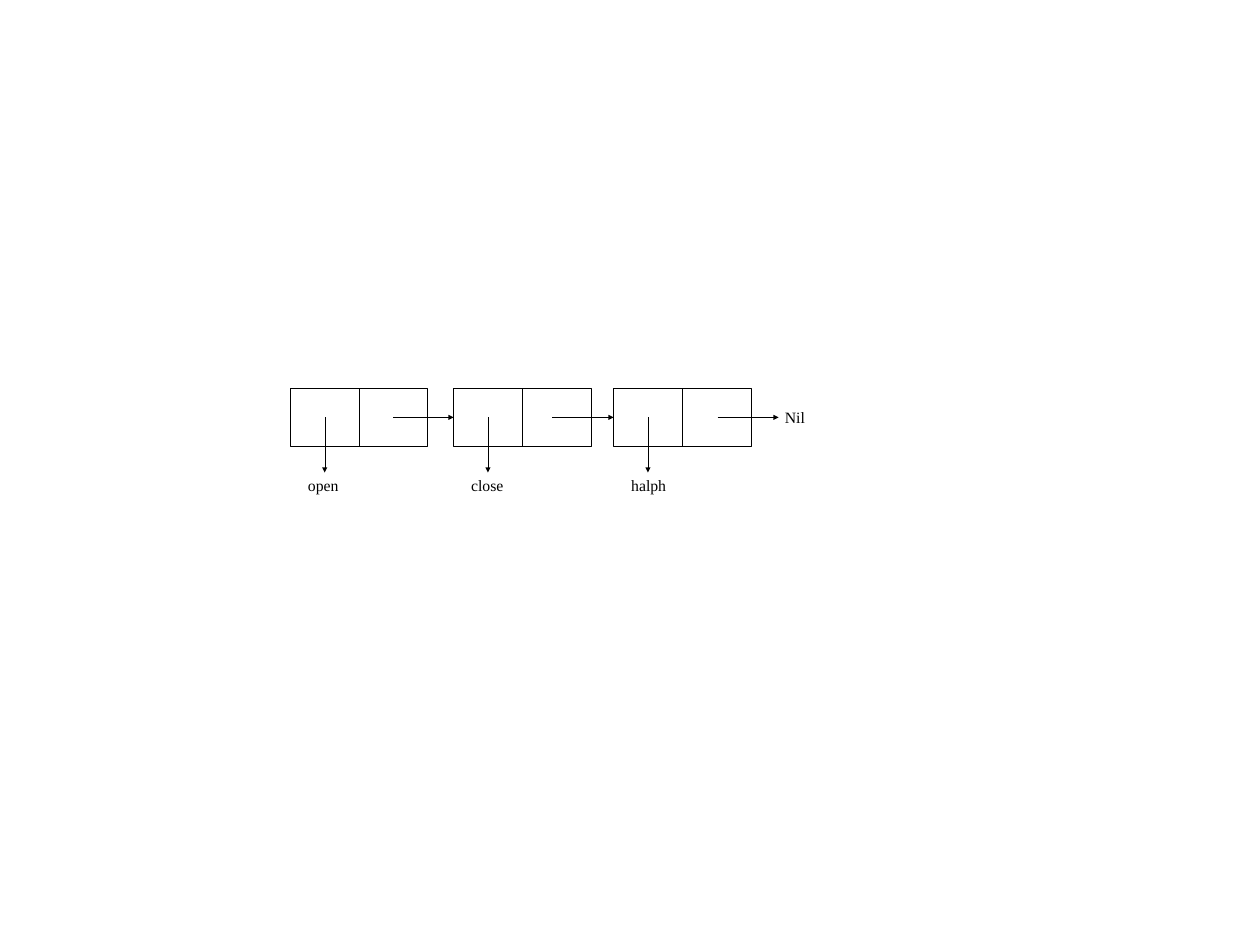
from pptx import Presentation, util as u
from pptx.dml.color import RGBColor
from pptx.enum import shapes, text
from pptx.oxml.ns import qn
from lxml import etree


def color(value):
    return RGBColor.from_string(value)


class Diagram:
    ink = "000000"
    font = {"name": "Times New Roman", "size": u.Pt(18)}

    def __init__(self, slide):
        self.s = slide

    def box(self, x, y, w, h):
        sp = self.s.shapes.add_shape(
            shapes.MSO_SHAPE.RECTANGLE, *map(u.Inches, (x, y, w, h)))
        sp.shadow.inherit = False
        sp.fill.background()
        sp.line.color.rgb = color(self.ink)
        sp.line.width = u.Pt(0.75)
        return sp

    def line(self, x1, y1, x2, y2, arrow=False):
        c = self.s.shapes.add_connector(
            shapes.MSO_CONNECTOR.STRAIGHT, *map(u.Inches, (x1, y1, x2, y2)))
        c.line.color.rgb = color(self.ink)
        c.line.width = u.Pt(0.5)
        if arrow:
            ln = c.line._get_or_add_ln()
            etree.SubElement(ln, qn("a:tailEnd"), type="triangle")
        etree.SubElement(c._element.spPr, qn("a:effectLst"))
        return c

    def label(self, words, x, y, w=1.02, h=0.4):
        sp = self.s.shapes.add_textbox(*map(u.Inches, (x, y, w, h)))
        tf = sp.text_frame
        tf.word_wrap = True
        tf.auto_size = text.MSO_AUTO_SIZE.SHAPE_TO_FIT_TEXT
        r = tf.paragraphs[0].add_run()
        r.text = words
        for key, value in self.font.items():
            setattr(r.font, key, value)
        r.font.color.rgb = color(self.ink)


def main():
    prs = Presentation()
    prs.slide_width, prs.slide_height = u.Inches(20), u.Inches(15)
    d = Diagram(prs.slides.add_slide(prs.slide_layouts[6]))

    top, width, height = 6.16, 2.18, 0.93
    middle = top + height / 2
    label_top = 7.5
    nil_left = 12.36
    cells = [("open", 4.61, 6.24), ("close", 7.2, 8.77), ("halph", 9.74, 11.39)]

    boxes = []
    for word, left, _ in cells:
        box = d.box(left, top, width, height)
        boxes.append(box)
        center = left + width / 2
        divider = d.line(center, top, center, top + height)
        divider.begin_connect(box, 0)
        divider.end_connect(box, 2)
        d.line(left + width / 4, middle, left + width / 4, label_top, arrow=True)
        d.label(word, left + 0.18, label_top)

    d.label("Nil", nil_left, 6.43)
    targets = [left for _, left, _ in cells[1:]] + [nil_left]
    for i, ((_, _, start), end) in enumerate(zip(cells, targets)):
        pointer = d.line(start, middle, end, middle, arrow=True)
        if i + 1 < len(boxes):
            pointer.end_connect(boxes[i + 1], 1)

    prs.save("out.pptx")


if __name__ == "__main__":
    main()
